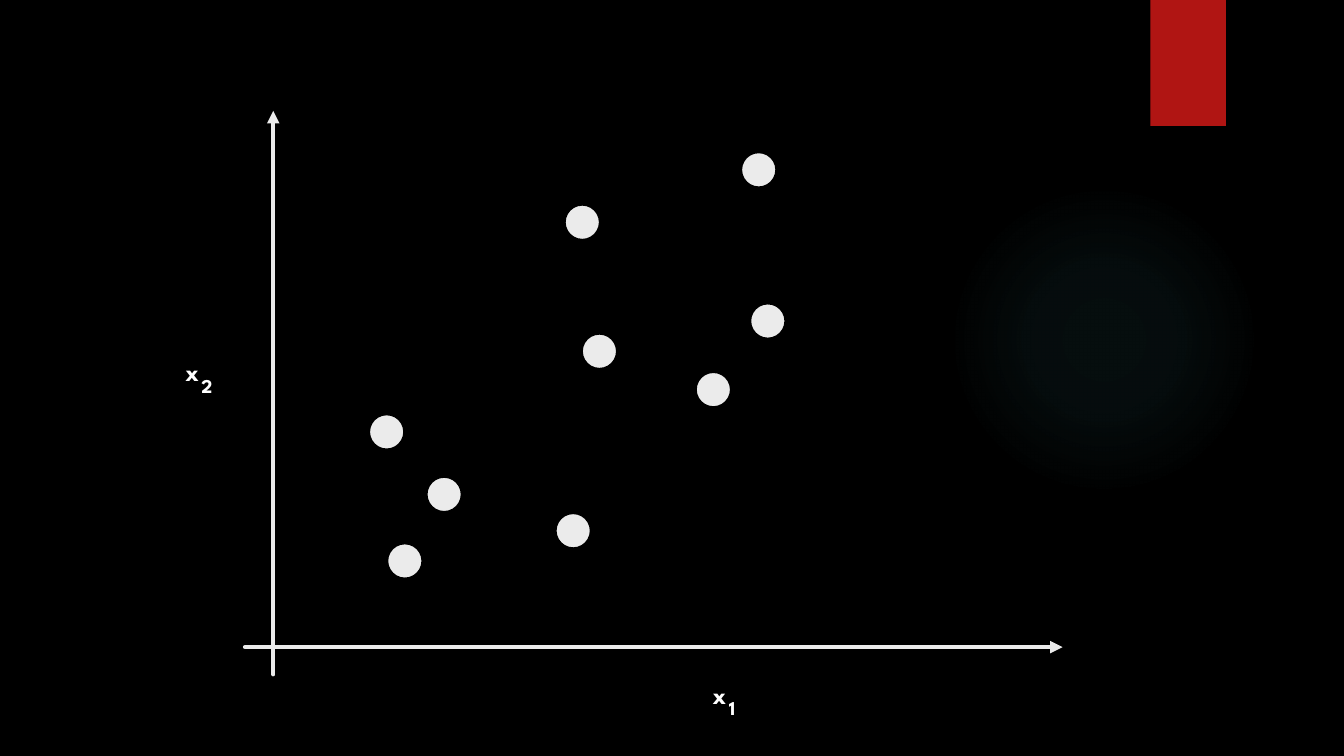
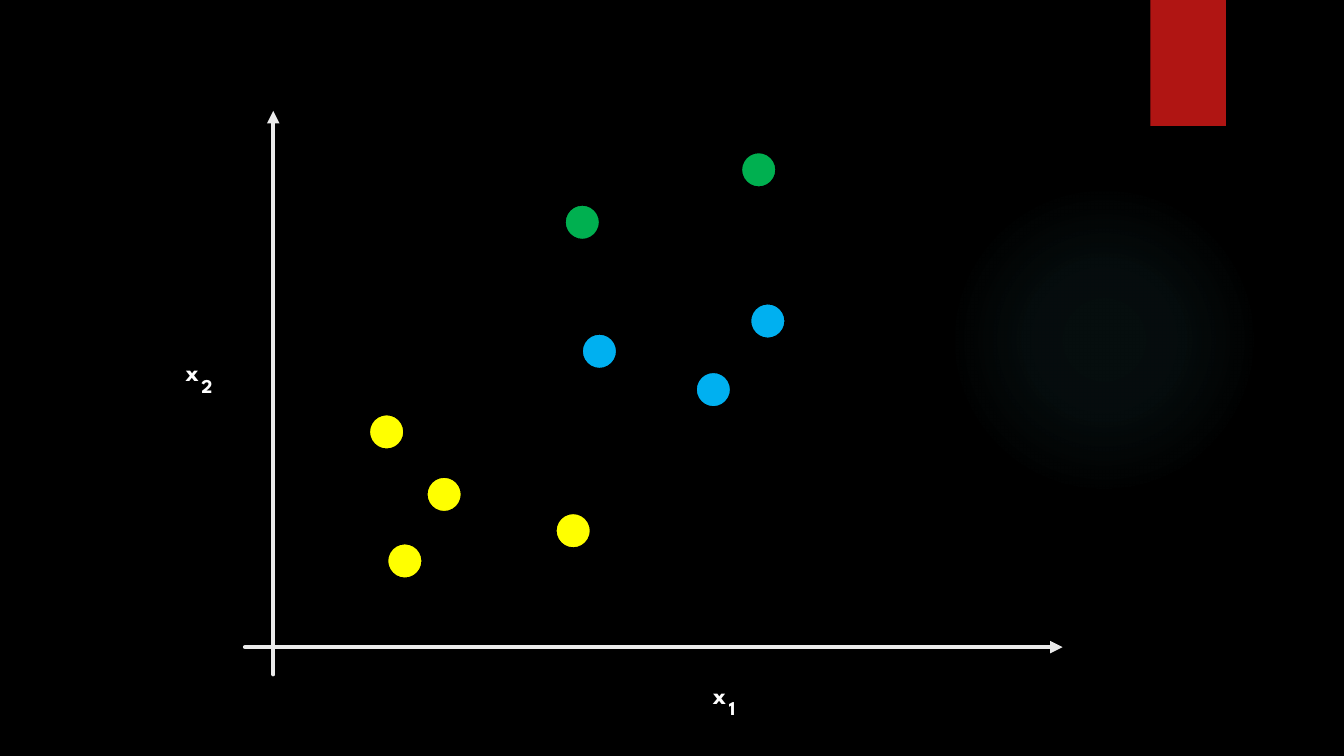
"""Build two scatter slides: plain points, then the same points coloured by cluster."""
from dataclasses import dataclass

from lxml.etree import SubElement
from pptx import Presentation
from pptx.dml.color import RGBColor
from pptx.enum.shapes import MSO_CONNECTOR as Connector, MSO_SHAPE as Preset
from pptx.enum.text import MSO_AUTO_SIZE as AutoSize
from pptx.oxml import parse_xml
from pptx.oxml.ns import nsdecls, qn
from pptx.presentation import Presentation as Deck
from pptx.shapes.autoshape import Shape
from pptx.slide import Slide
from pptx.util import Inches, Pt

COLORS = {
    "background": "000000",
    "ribbon": "B01513",
    "glow": "50B9C1",
    "axis": "EBEBEB",
    "text": "FFFFFF",
    "plain": "EBEBEB",
    "low": "FFFF00",
    "middle": "00B0F0",
    "high": "00B050",
}
FONT = "League Spartan"
DOT_SIZE = 0.35
GLOW_STOPS = ((0, 7), (36, 6), (69, 0))


@dataclass(frozen=True)
class Axis:
    start: tuple[float, float]
    end: tuple[float, float]
    index: str
    label_at: tuple[float, float]


@dataclass(frozen=True)
class Point:
    left: float
    top: float
    cluster: str


AXES = (
    Axis((2.71, 6.69), (2.71, 1.1), "2", (1.74, 3.49)),
    Axis((2.43, 6.42), (10.54, 6.42), "1", (6.97, 6.69)),
)
POINTS = (
    Point(3.66, 4.11, "low"),
    Point(3.84, 5.39, "low"),
    Point(4.23, 4.73, "low"),
    Point(5.51, 5.09, "low"),
    Point(5.6, 2.03, "high"),
    Point(5.77, 3.31, "middle"),
    Point(6.9, 3.69, "middle"),
    Point(7.44, 3.01, "middle"),
    Point(7.35, 1.51, "high"),
)


def color(name: str) -> RGBColor:
    return RGBColor.from_string(COLORS[name])


def add_preset(slide: Slide, preset: Preset, left: float, top: float,
               width: float, height: float) -> Shape:
    shape = slide.shapes.add_shape(
        preset, Inches(left), Inches(top), Inches(width), Inches(height))
    shape.shadow.inherit = False
    shape.line.fill.background()
    return shape


def add_text(slide: Slide, text: str, left: float, top: float, *,
             width: float, height: float, size: float) -> None:
    box = slide.shapes.add_textbox(
        Inches(left), Inches(top), Inches(width), Inches(height))
    box.text_frame.word_wrap = False
    box.text_frame.auto_size = AutoSize.SHAPE_TO_FIT_TEXT
    run = box.text_frame.paragraphs[0].add_run()
    run.text = text
    run.font.name = FONT
    run.font.size = Pt(size)
    run.font.bold = True
    run.font.color.rgb = color("text")


def add_axis(slide: Slide, axis: Axis) -> None:
    connector = slide.shapes.add_connector(
        Connector.STRAIGHT, *map(Inches, axis.start + axis.end))
    connector.line.color.rgb = color("axis")
    connector.line.width = Pt(3)
    properties = connector.element.spPr
    outline = properties.find(qn("a:ln"))
    outline.set("cap", "rnd")
    SubElement(outline, qn("a:tailEnd"), type="triangle")
    SubElement(properties, qn("a:effectLst"))


def add_axis_label(slide: Slide, axis: Axis) -> None:
    left, top = axis.label_at
    add_text(slide, "x", left, top, width=0.34, height=0.4, size=18)
    add_text(slide, axis.index, left + 0.16, top + 0.17,
             width=0.31, height=0.34, size=14)


def add_point(slide: Slide, point: Point, fill: str) -> None:
    dot = add_preset(slide, Preset.OVAL, point.left, point.top, DOT_SIZE, DOT_SIZE)
    dot.fill.solid()
    dot.fill.fore_color.rgb = color(fill)
    dot.line.color.rgb = color("background")
    dot.line.width = Pt(1.5)


def fill_with_glow(shape: Shape) -> None:
    stops = "".join(
        f'<a:gs pos="{position * 1000}"><a:srgbClr val="{COLORS["glow"]}">'
        f'<a:alpha val="{opacity * 1000}"/></a:srgbClr></a:gs>'
        for position, opacity in GLOW_STOPS)
    gradient = parse_xml(
        f'<a:gradFill {nsdecls("a")} rotWithShape="1"><a:gsLst>{stops}</a:gsLst>'
        '<a:path path="circle"><a:fillToRect l="50000" t="50000" r="50000" b="50000"/>'
        '</a:path></a:gradFill>')
    shape.element.spPr.find(qn("a:prstGeom")).addnext(gradient)


def decorate_master(presentation: Deck, slide: Slide) -> None:
    master = presentation.slide_master
    master.background.fill.solid()
    master.background.fill.fore_color.rgb = color("background")
    glow = add_preset(slide, Preset.OVAL, 9.41, 1.83, 3.08, 3.08)
    fill_with_glow(glow)
    ribbon = add_preset(slide, Preset.RECTANGLE, 11.41, 0, 0.75, 1.25)
    ribbon.fill.solid()
    ribbon.fill.fore_color.rgb = color("ribbon")
    for number, shape in enumerate((glow, ribbon), start=101):
        shape.element.nvSpPr.cNvPr.set("id", str(number))
        master.element.cSld.spTree.append(shape.element)


def draw_scatter(slide: Slide, clustered: bool) -> None:
    for axis in AXES:
        add_axis(slide, axis)
    for point in POINTS:
        add_point(slide, point, point.cluster if clustered else "plain")
    for axis in AXES:
        add_axis_label(slide, axis)


def main() -> None:
    presentation = Presentation()
    presentation.slide_width = Inches(13.33)
    presentation.slide_height = Inches(7.5)
    blank = presentation.slide_layouts[6]
    plain_slide, cluster_slide = (presentation.slides.add_slide(blank) for _ in range(2))
    decorate_master(presentation, plain_slide)
    draw_scatter(plain_slide, clustered=False)
    draw_scatter(cluster_slide, clustered=True)
    presentation.save("out.pptx")


main()
